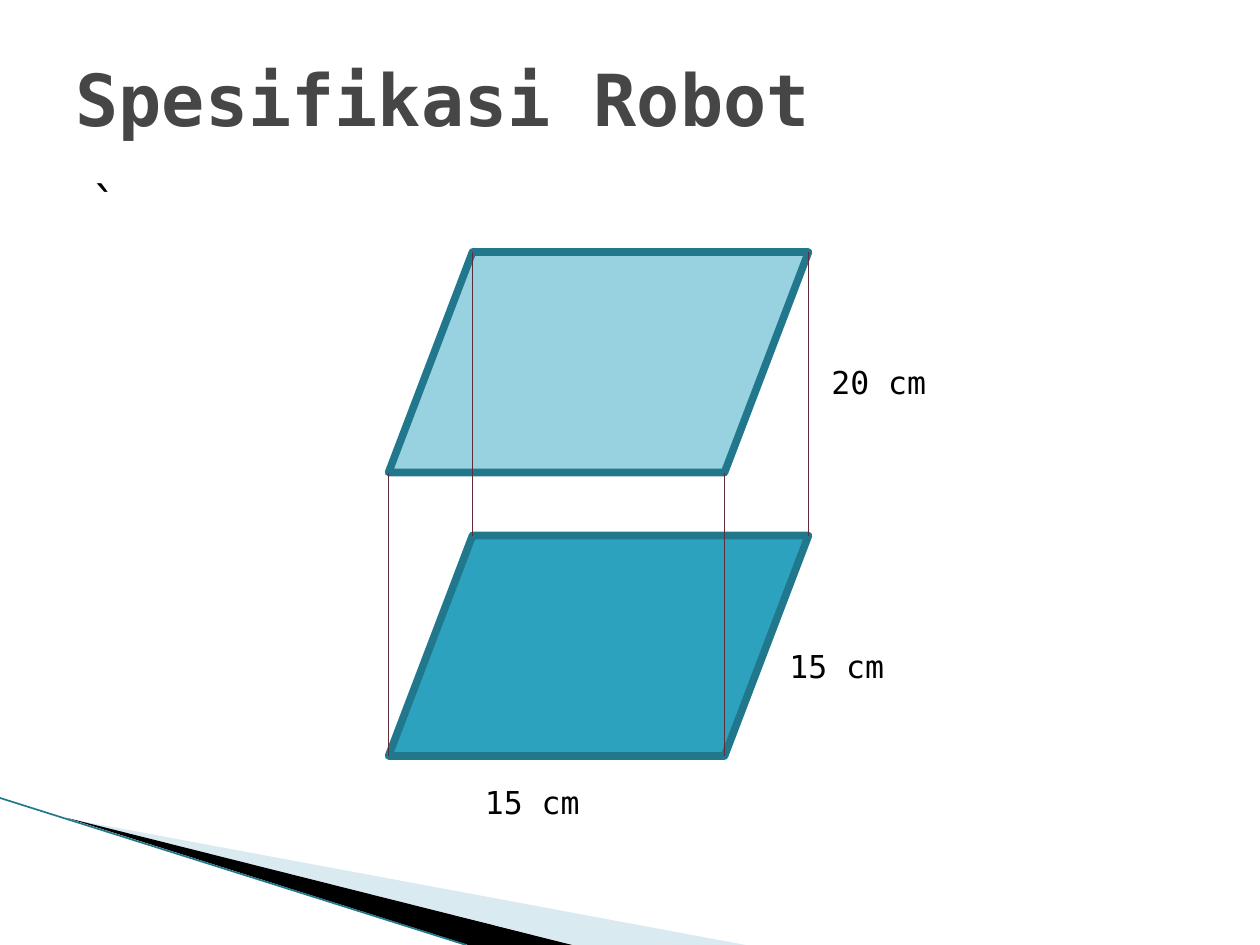
from dataclasses import dataclass

from lxml import etree
from pptx import Presentation
from pptx.dml.color import RGBColor
from pptx.enum.shapes import MSO_CONNECTOR, MSO_SHAPE
from pptx.enum.text import MSO_ANCHOR, PP_ALIGN
from pptx.oxml.ns import qn
from pptx.util import Inches, Pt

PLATE = MSO_SHAPE.FLOWCHART_DATA
STRAIGHT = MSO_CONNECTOR.STRAIGHT
LEFT = PP_ALIGN.LEFT
TOP, MIDDLE = MSO_ANCHOR.TOP, MSO_ANCHOR.MIDDLE
TITLE_ONLY = 5

# Grid of 120 columns by 90 rows
WIDTH, HEIGHT = Inches(10), Inches(7.5)
COLUMNS, ROWS = 120, 90


@dataclass(frozen=True)
class Theme:
    font: str = "DejaVu Sans Mono"
    title: str = "464646"
    text: str = "000000"
    plate: str = "2DA2BF"
    edge: str = "21788D"
    post: str = "5E2D37"
    pale: str = "A0CBDC"
    title_size: float = 41
    body_size: float = 27
    label_size: float = 18


THEME = Theme()


def x(column):
    return round(WIDTH * column / COLUMNS)


def y(row):
    return round(HEIGHT * row / ROWS)


def set_fill(shape, color, opacity=100):
    shape.shadow.inherit = False
    shape.fill.solid()
    shape.fill.fore_color.rgb = RGBColor.from_string(color)
    if opacity < 100:
        tint = shape.fill._xPr.find(qn("a:solidFill"))[0]
        etree.SubElement(tint, qn("a:alpha"), val=str(opacity * 1000))


def set_line(shape, color, weight):
    shape.line.color.rgb = RGBColor.from_string(color)
    shape.line.width = Pt(weight)


def write(shape, text, size, color=THEME.text, bold=False, anchor=TOP,
          indent=0, before=0):
    frame = shape.text_frame
    frame.word_wrap = True
    frame.vertical_anchor = anchor
    frame.text = text
    paragraph = frame.paragraphs[0]
    paragraph.alignment = LEFT
    paragraph.space_before = Pt(before)
    if indent:
        paragraph._p.get_or_add_pPr().set("marL", str(x(indent)))
    font = paragraph.runs[0].font
    font.name, font.size, font.bold = THEME.font, Pt(size), bold
    font.color.rgb = RGBColor.from_string(color)


def add_label(slide, text, column, row, columns=18, rows=4.8,
              size=THEME.label_size, **style):
    label = slide.shapes.add_textbox(x(column), y(row), x(columns), y(rows))
    write(label, text, size, **style)


def add_wedge(slide, points, color, opacity=100):
    corners = [(x(column), y(row)) for column, row in points]
    builder = slide.shapes.build_freeform(*corners[0])
    builder.add_line_segments(corners[1:], close=True)
    wedge = builder.convert_to_shape()
    set_fill(wedge, color, opacity)
    wedge.line.fill.background()


def add_line(slide, start, end, color, weight):
    line = slide.shapes.add_connector(
        STRAIGHT, x(start[0]), y(start[1]), x(end[0]), y(end[1]))
    set_line(line, color, weight)
    etree.SubElement(line._element.spPr, qn("a:effectLst"))


def add_plate(slide, column, row, columns, rows, opacity=100):
    plate = slide.shapes.add_shape(PLATE, x(column), y(row), x(columns), y(rows))
    set_fill(plate, THEME.plate, opacity)
    set_line(plate, THEME.edge, 4.33)
    etree.SubElement(plate.line._get_or_add_ln(), qn("a:round"))


def add_corner_decoration(slide):
    add_wedge(slide, [(6.6, 78), (71, 90), (54.7, 90)], THEME.pale, 40)
    add_wedge(slide, [(6.4, 77.9), (54.5, 90), (44.6, 90)], THEME.text)
    add_line(slide, (0, 76), (44.4, 90), THEME.edge, 0.95)


def add_robot_frame(slide):
    left, top, columns, rows = 37, 24, 40, 21
    rise = 27
    skew = columns / 5
    right = left + columns

    # Base and upper plate
    add_plate(slide, left, top + rise, columns, rows)
    add_plate(slide, left, top, columns, rows, opacity=49)

    # Posts joining matching corners
    corners = [(left, top + rows), (right, top),
               (right - skew, top + rows), (left + skew, top)]
    for column, row in corners:
        add_line(slide, (column, row), (column, row + rise), THEME.post, 0.75)

    # Dimensions
    for text, column, row in [("20 cm", 78, 34), ("15 cm", 45, 74),
                              ("15 cm", 74, 61)]:
        add_label(slide, text, column, row)


def main():
    deck = Presentation()
    deck.slide_width, deck.slide_height = WIDTH, HEIGHT
    slide = deck.slides.add_slide(deck.slide_layouts[TITLE_ONLY])

    add_corner_decoration(slide)

    # Title and body text
    title = slide.shapes.title
    title.left, title.top, title.width, title.height = x(6), y(3.6), x(108), y(11.4)
    write(title, "Spesifikasi Robot", THEME.title_size, color=THEME.title,
          bold=True, anchor=MIDDLE)
    add_label(slide, "`", 6, 16, columns=108, rows=64.4, size=THEME.body_size,
              indent=1.44, before=4)

    add_robot_frame(slide)
    deck.save("out.pptx")


main()
